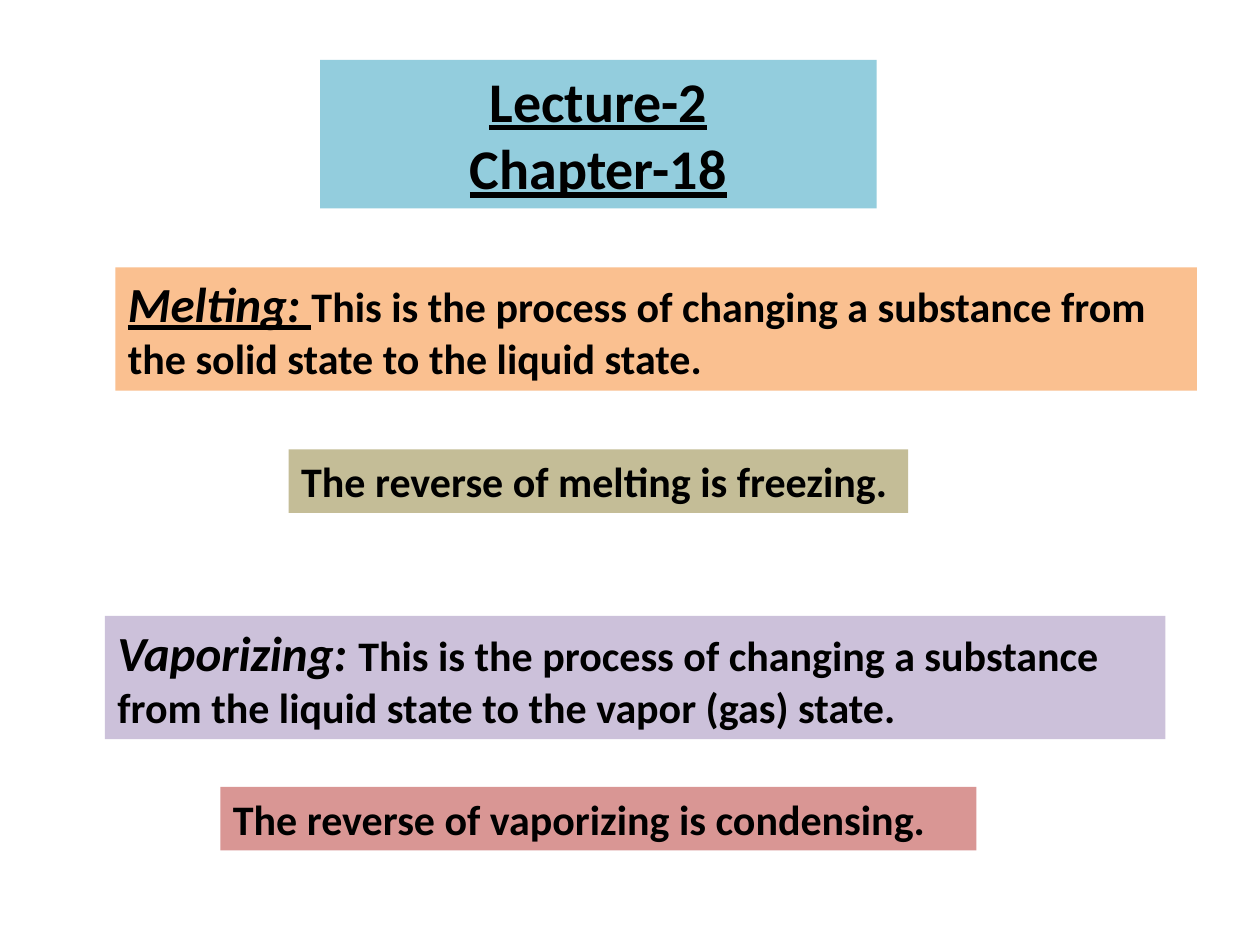
from dataclasses import dataclass

import pptx
import pptx.dml.color
import pptx.enum.text
import pptx.util


@dataclass(frozen=True)
class Theme:
    font: str = "Calibri"
    text: str = "000000"
    title_fill: str = "93CDDD"
    melting_fill: str = "FAC090"
    freezing_fill: str = "C4BD97"
    vaporizing_fill: str = "CCC1DA"
    condensing_fill: str = "D99694"
    title_size: int = 32
    term_size: int = 28
    body_size: int = 24


@dataclass(frozen=True)
class Panel:
    left: float
    top: float
    width: float
    height: float
    fill: str
    lines: tuple[str, ...]
    size: int
    term: str = ""
    term_underlined: bool = False
    heading: bool = False


THEME = Theme()
PANELS = (
    Panel(66, 152.8, 618, 70.4, THEME.melting_fill,
          ("This is the process of changing a substance from the solid state to the liquid state.",),
          THEME.body_size, term="Melting: ", term_underlined=True),
    Panel(165, 256.8, 354, 36.35, THEME.freezing_fill,
          ("The reverse of melting is freezing.",), THEME.body_size),
    Panel(60, 352, 606, 70.4, THEME.vaporizing_fill,
          ("This is the process of changing a substance from the liquid state to the vapor (gas) state.",),
          THEME.body_size, term="Vaporizing: "),
    Panel(126, 449.7, 432, 36.35, THEME.condensing_fill,
          ("The reverse of vaporizing is condensing.",), THEME.body_size),
    Panel(183, 34.3, 318, 84.8, THEME.title_fill,
          ("Lecture-2", "Chapter-18"), THEME.title_size, heading=True),
)


def color(value: str) -> pptx.dml.color.RGBColor:
    """Turn a hex value into a colour."""
    return pptx.dml.color.RGBColor.from_string(value)


def add_panel(slide: pptx.slide.Slide, panel: Panel) -> None:
    """Draw one filled text box with its optional leading term."""
    frame = (panel.left, panel.top, panel.width, panel.height)
    box = slide.shapes.add_textbox(*map(pptx.util.Pt, frame))
    box.fill.solid()
    box.fill.fore_color.rgb = color(panel.fill)
    box.text_frame.word_wrap = True
    box.text_frame.auto_size = pptx.enum.text.MSO_AUTO_SIZE.SHAPE_TO_FIT_TEXT
    for index, line in enumerate(panel.lines):
        para = box.text_frame.add_paragraph() if index else box.text_frame.paragraphs[0]
        para.font.name = THEME.font
        para.font.size = pptx.util.Pt(panel.size)
        para.font.bold = True
        para.font.color.rgb = color(THEME.text)
        if panel.heading:
            para.alignment = pptx.enum.text.PP_ALIGN.CENTER
            para.font.underline = True
        if panel.term:
            span = para.add_run()
            span.text = panel.term
            span.font.size = pptx.util.Pt(THEME.term_size)
            span.font.italic = True
            span.font.underline = panel.term_underlined
        para.add_run().text = line


def main() -> None:
    """Build the lecture slide and save it."""
    deck = pptx.Presentation()
    deck.slide_width = pptx.util.Pt(720)
    deck.slide_height = pptx.util.Pt(540)
    page = deck.slides.add_slide(deck.slide_layouts[6])
    for panel in PANELS:
        add_panel(page, panel)
    deck.save("out.pptx")


if __name__ == "__main__":
    main()
